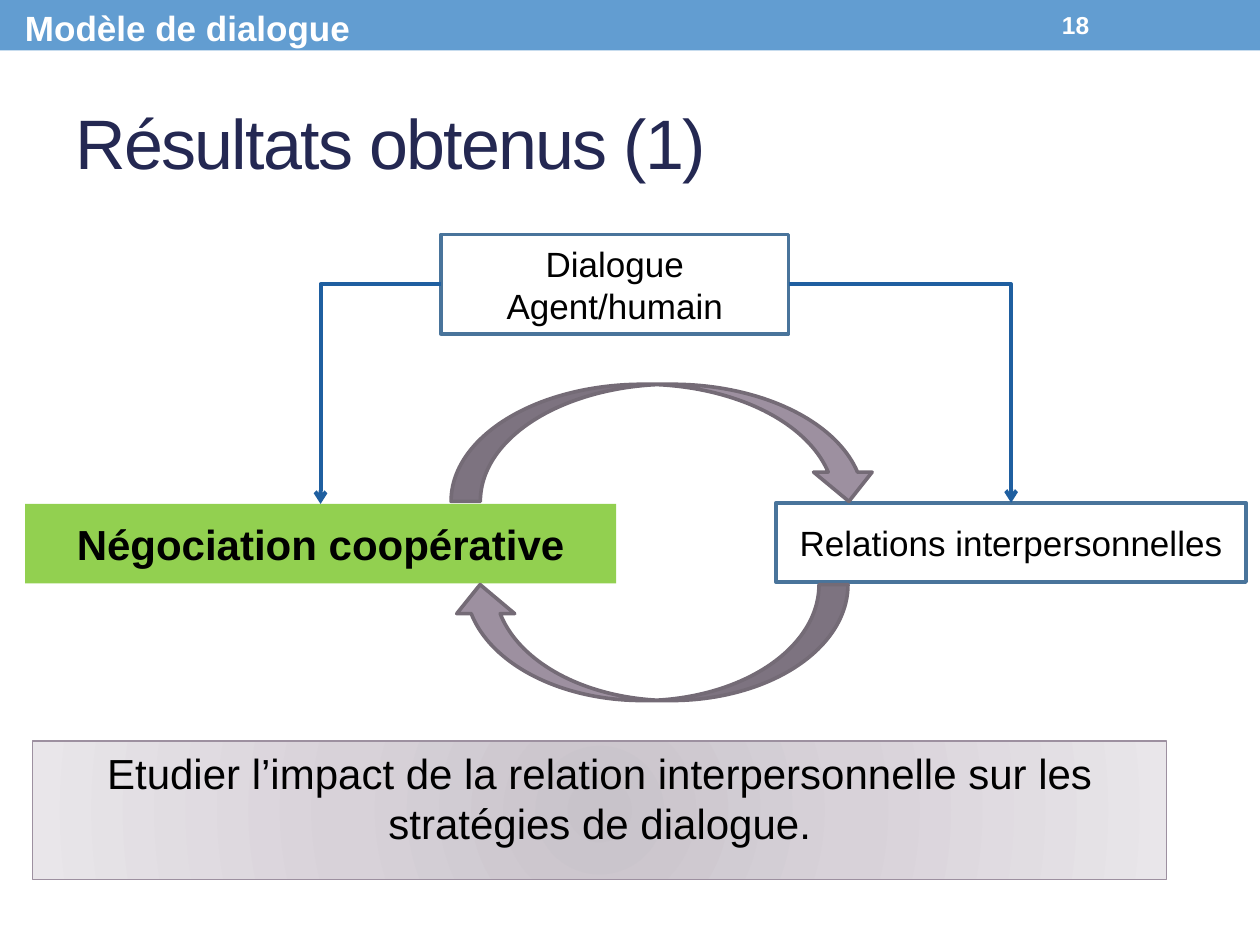
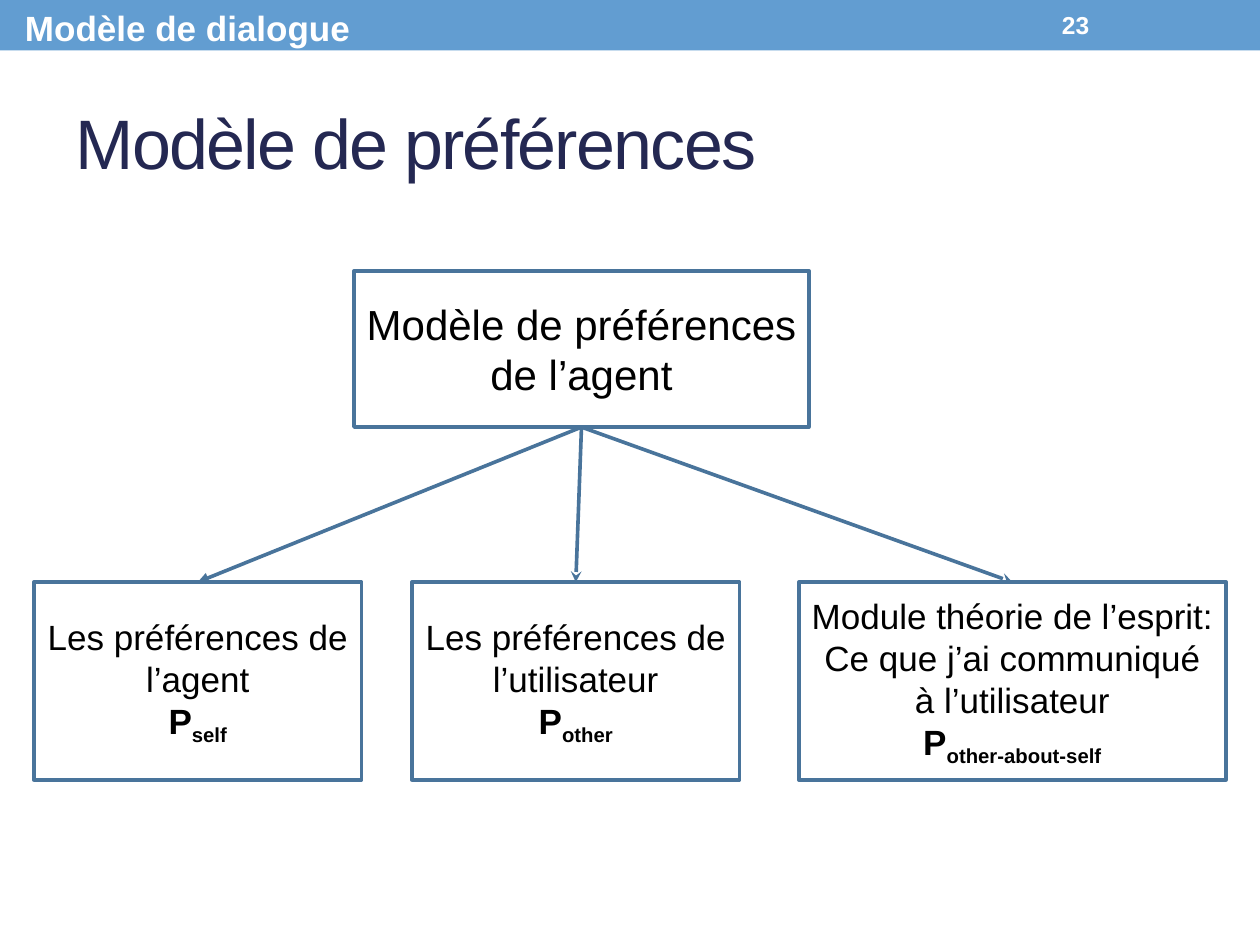
from dataclasses import dataclass

from pptx import Presentation
from pptx.dml.color import RGBColor
from pptx.enum.dml import MSO_FILL
from pptx.enum.shapes import MSO_CONNECTOR as Link, MSO_SHAPE as Preset
from pptx.enum.text import MSO_ANCHOR as Anchor, PP_ALIGN as Align
from pptx.oxml import parse_xml
from pptx.oxml.ns import nsdecls, qn
from pptx.oxml.xmlchemy import OxmlElement
from pptx.util import Inches, Pt


@dataclass(frozen=True)
class Theme:
    font: str = "Arial"
    band: str = "629DD1"
    title: str = "242852"
    text: str = "000000"
    light: str = "FFFFFF"
    outline: str = "49749B"
    flow: str = "1F5FA0"
    focus: str = "92D050"
    cycle: str = "9D90A0"
    cycle_edge: str = "746B76"
    glow: tuple = ((0, "C8C3CA"), (45, "D8D2D9"), (100, "E9E6EA"))
    title_size: int = 40
    large: int = 24
    medium: int = 20
    small: int = 14
    edge: float = 2.08
    flow_edge: float = 2.25
    thin: float = 0.75


THEME = Theme()
WIDTH, HEIGHT = Inches(10), Inches(7.5)
COLUMNS, ROWS = 100, 75
TOP, LEFT, BOTTOM, RIGHT = range(4)


def grid(column, row, columns, rows):
    return (int(WIDTH * column / COLUMNS), int(HEIGHT * row / ROWS),
            int(WIDTH * columns / COLUMNS), int(HEIGHT * rows / ROWS))


def move(shape, cells):
    shape.left, shape.top, shape.width, shape.height = grid(*cells)


def style(paragraph, size, color=THEME.text, bold=False, align=Align.LEFT):
    paragraph.alignment = align
    font = paragraph.font
    font.name, font.size, font.bold = THEME.font, Pt(size), bold
    font.color.rgb = RGBColor.from_string(color)


def set_line(line, color, width):
    line.color.rgb = RGBColor.from_string(color)
    line.width = Pt(width)


def add_preset(slide, preset, cells, fill=None, edge=None):
    shape = slide.shapes.add_shape(preset, *grid(*cells))
    shape.shadow.inherit = False
    if fill:
        shape.fill.solid()
        shape.fill.fore_color.rgb = RGBColor.from_string(fill)
    else:
        shape.fill.background()
    if edge:
        set_line(shape.line, edge, THEME.edge)
    else:
        shape.line.fill.background()
    return shape


def add_box(slide, cells, lines, size=THEME.medium, fill=None,
            edge=THEME.outline, bold=False, index=None):
    box = add_preset(slide, Preset.RECTANGLE, cells, fill, edge)
    frame = box.text_frame
    frame.word_wrap, frame.vertical_anchor = True, Anchor.MIDDLE
    frame.text = "\n".join(lines)
    for paragraph in frame.paragraphs:
        style(paragraph, size, bold=bold, align=Align.CENTER)
    if index:
        symbol = frame.add_paragraph()
        style(symbol, size, bold=True, align=Align.CENTER)
        symbol.add_run().text = "P"
        subscript = symbol.add_run()
        subscript.text = index
        subscript.font._element.set("baseline", "-25000")
    return box


def add_arrow(slide, source, source_side, target, color, width, head, bent=False):
    arrow = slide.shapes.add_connector(Link.ELBOW if bent else Link.STRAIGHT, 0, 0, 0, 0)
    arrow.begin_connect(source, source_side)
    arrow.end_connect(target, TOP)
    set_line(arrow.line, color, width)
    properties = arrow.element.spPr
    if bent:
        properties.find(qn("a:prstGeom")).set("prst", "bentConnector2")
    tail = OxmlElement("a:tailEnd")
    tail.set("type", head)
    properties.find(qn("a:ln")).append(tail)
    properties.append(OxmlElement("a:effectLst"))


def add_header_text(slide, cells, text, size, anchor, wrap):
    header = slide.shapes.add_textbox(*grid(*cells))
    frame = header.text_frame
    frame.word_wrap, frame.vertical_anchor = wrap, anchor
    frame.text = text
    style(frame.paragraphs[0], size, THEME.light, bold=True)


def add_slide(deck, layout, title, number):
    slide = deck.slides.add_slide(deck.slide_layouts[layout])
    heading = slide.shapes.title
    move(heading, (5, 5.8, 90, 10.8))
    heading.text_frame.vertical_anchor = Anchor.MIDDLE
    heading.text = title
    paragraph = heading.text_frame.paragraphs[0]
    style(paragraph, THEME.title_size, THEME.title)
    paragraph.runs[0].font._element.set("spc", "-100")
    add_header_text(slide, (83.3, 0.2, 11.7, 3.6), number, THEME.small, Anchor.MIDDLE, True)
    add_header_text(slide, (1, 0, 28, 4.4), "Modèle de dialogue", THEME.medium, Anchor.TOP, False)
    return slide


def share_band(deck, slide):
    band = add_preset(slide, Preset.RECTANGLE, (0, 0, COLUMNS, 4), THEME.band)
    deck.slide_master.shapes.element.insert(2, band.element)


def fill_radial(shape, stops):
    shape.fill.solid()
    assert shape.fill.type == MSO_FILL.SOLID
    colors = "".join(f'<a:gs pos="{share * 1000}"><a:srgbClr val="{color}"/></a:gs>'
                     for share, color in stops)
    gradient = parse_xml(
        f'<a:gradFill {nsdecls("a")}><a:gsLst>{colors}</a:gsLst><a:path path="circle">'
        '<a:fillToRect l="100000" t="100000" r="100000" b="100000"/></a:path></a:gradFill>')
    properties = shape.element.spPr
    properties.replace(properties.find(qn("a:solidFill")), gradient)


def write_goal(goal, text):
    move(goal, (2.6, 58.8, 90, 11))
    fill_radial(goal, THEME.glow)
    set_line(goal.line, THEME.cycle, THEME.thin)
    goal.text = text
    paragraph = goal.text_frame.paragraphs[0]
    properties = paragraph._p.get_or_add_pPr()
    properties.set("marL", "0")
    properties.set("indent", "0")
    paragraph.space_before = Pt(0)
    properties.append(OxmlElement("a:buNone"))
    style(paragraph, THEME.large, align=Align.CENTER)


def build_results(deck):
    slide = add_slide(deck, 1, "Résultats obtenus (1)", "18")
    write_goal(slide.placeholders[1], "Etudier l’impact de la relation interpersonnelle "
                                      "sur les stratégies de dialogue.")
    dialogue = add_box(slide, (35, 18.6, 27.6, 7.9), ["Dialogue Agent/humain"])
    negotiation = add_box(slide, (2, 40, 46.9, 6.3), ["Négociation coopérative"],
                          THEME.large, THEME.focus, edge=None, bold=True)
    relations = add_box(slide, (61.6, 39.9, 37.3, 6.3), ["Relations interpersonnelles"])
    for side, topic in ((RIGHT, relations), (LEFT, negotiation)):
        add_arrow(slide, dialogue, side, topic, THEME.flow, THEME.flow_edge, "arrow", bent=True)
    for cells, rotation in (((35.8, 30.5, 33.9, 9.3), 0), ((35.8, 46.4, 31.5, 9.2), 180)):
        cycle = add_preset(slide, Preset.CURVED_DOWN_ARROW, cells, THEME.cycle, THEME.cycle_edge)
        cycle.rotation = rotation
    return slide


def build_preferences(deck):
    slide = add_slide(deck, 5, "Modèle de préférences", "23")
    model = add_box(slide, (28.1, 21.5, 36.1, 12.4),
                    ["Modèle de préférences de l’agent"], THEME.large)
    parts = (
        (2.7, 26, ["Les préférences de l’agent"], "self", "triangle"),
        (32.7, 26, ["Les préférences de l’utilisateur"], "other", "stealth"),
        (63.4, 33.9, ["Module théorie de l’esprit:", "Ce que j’ai communiqué à l’utilisateur"],
         "other-about-self", "stealth"),
    )
    for column, columns, lines, index, head in parts:
        part = add_box(slide, (column, 46.2, columns, 15.7), lines, index=index)
        add_arrow(slide, model, BOTTOM, part, THEME.outline, THEME.edge, head)


def main():
    deck = Presentation()
    deck.slide_width, deck.slide_height = WIDTH, HEIGHT
    results = build_results(deck)
    share_band(deck, results)
    build_preferences(deck)
    deck.save("out.pptx")


if __name__ == "__main__":
    main()
